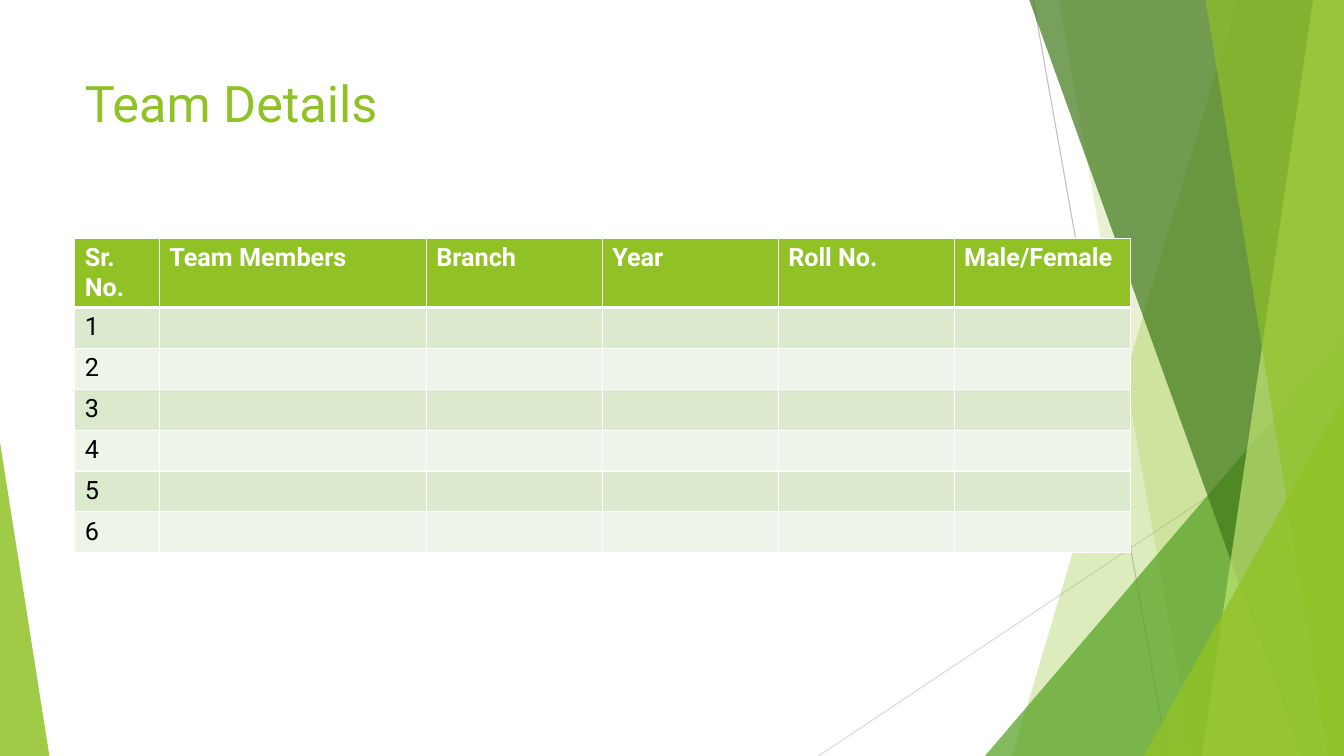
from lxml import etree
from pptx import Presentation
from pptx.dml.color import RGBColor
from pptx.enum.shapes import MSO_CONNECTOR, MSO_SHAPE
from pptx.enum.text import MSO_ANCHOR, PP_ALIGN
from pptx.oxml.ns import qn
from pptx.util import Pt

STRAIGHT = MSO_CONNECTOR.STRAIGHT
TRIANGLE = MSO_SHAPE.ISOSCELES_TRIANGLE
TOP = MSO_ANCHOR.TOP
LEFT = PP_ALIGN.LEFT

COLORS = {
    "lime": "90C226", "green": "54A021", "forest": "3F7819", "pale": "C0E474",
    "line_dark": "BFBFBF", "line_light": "D9D9D9", "white": "FFFFFF",
    "black": "000000", "band_dark": "DBE9CD", "band_light": "EEF4E8",
}
W, H = 960, 540


def fill_shape(sp, color, alpha):
    sp.shadow.inherit = False
    sp.fill.solid()
    sp.fill.fore_color.rgb = RGBColor.from_string(COLORS[color])
    sp.line.fill.background()
    clr = sp.element.spPr.find(qn("a:solidFill"))[0]
    etree.SubElement(clr, qn("a:alpha"), val=str(alpha * 1000))


def write_text(tf, text, size, color, bold):
    p = tf.paragraphs[0]
    p.alignment = LEFT
    r = p.add_run()
    r.text = text
    fmt = {"name": "Roboto", "size": Pt(size), "bold": bold}
    for key, value in fmt.items():
        setattr(r.font, key, value)
    r.font.color.rgb = RGBColor.from_string(COLORS[color])


prs = Presentation()
prs.slide_width, prs.slide_height = Pt(W), Pt(H)
s = prs.slides.add_slide(prs.slide_layouts[5])

rays = [((738, 0), (834, H), "line_dark"), ((W, 290), (584.6, H), "line_light")]
for start, end, color in rays:
    ray = s.shapes.add_connector(STRAIGHT, *map(Pt, start + end))
    ray.line.color.rgb = RGBColor.from_string(COLORS[color])
    ray.line.width = Pt(0.75)
    etree.SubElement(ray.element.spPr, qn("a:effectLst"))

facets = [
    ("band", (884, 723), "lime", 30),
    ("band", (756, 852), "lime", 20),
    ("triangle", (703.5, 240, 256.5, 300, 1), "green", 72),
    ("band", (735, 929.5), "forest", 70),
    ("band", (938, 858.5), "pale", 70),
    ("band", (861, 949), "lime", 65),
    ("triangle", (816.7, 283, 143.3, 257, 1), "lime", 80),
    ("triangle", (0, 316, 35.3, 224, 0), "lime", 85),
]
for kind, geometry, color, alpha in facets:
    if kind == "band":
        top_x, bottom_x = geometry
        builder = s.shapes.build_freeform(Pt(top_x), Pt(-0.7))
        corners = [(W, -0.7), (W, H), (bottom_x, H)]
        builder.add_line_segments([(Pt(x), Pt(y)) for x, y in corners])
        sp = builder.convert_to_shape()
    else:
        *box, apex = geometry
        sp = s.shapes.add_shape(TRIANGLE, *map(Pt, box))
        sp.adjustments[0] = apex
    fill_shape(sp, color, alpha)

title = s.shapes.title
title.element.getparent().append(title.element)
place = {"left": 53.4, "top": 48, "width": 677, "height": 104}
for key, value in place.items():
    setattr(title, key, Pt(value))
title.text_frame.vertical_anchor = TOP
title.text_frame.word_wrap = True
write_text(title.text_frame, "Team Details", 36, "lime", False)

headers = ["Sr. No.", "Team Members", "Branch", "Year", "Roll No.", "Male/Female"]
widths = [60.4, 190.7] + [125.7] * 4
heights = [49.4] + [29.2] * 6
frame = s.shapes.add_table(len(heights), len(widths), Pt(53.4), Pt(170.2),
                           Pt(sum(widths)), Pt(sum(heights)))
table = frame.table
for column, width in zip(table.columns, widths):
    column.width = Pt(width)
for i, height in enumerate(heights):
    table.rows[i].height = Pt(height)
    fill = "lime" if i == 0 else "band_dark" if i % 2 else "band_light"
    for j, header in enumerate(headers):
        cell = table.cell(i, j)
        tc_pr = cell._tc.get_or_add_tcPr()
        for side in "LRTB":
            thick = (i, side) in [(0, "B"), (1, "T")]
            ln = etree.SubElement(tc_pr, qn("a:ln" + side), w=str(Pt(3 if thick else 1)))
            solid = etree.SubElement(ln, qn("a:solidFill"))
            etree.SubElement(solid, qn("a:srgbClr"), val=COLORS["white"])
        cell.fill.solid()
        cell.fill.fore_color.rgb = RGBColor.from_string(COLORS[fill])
        if i == 0:
            write_text(cell.text_frame, header, 18, "white", True)
        elif j == 0:
            write_text(cell.text_frame, str(i), 18, "black", False)

prs.save("out.pptx")
